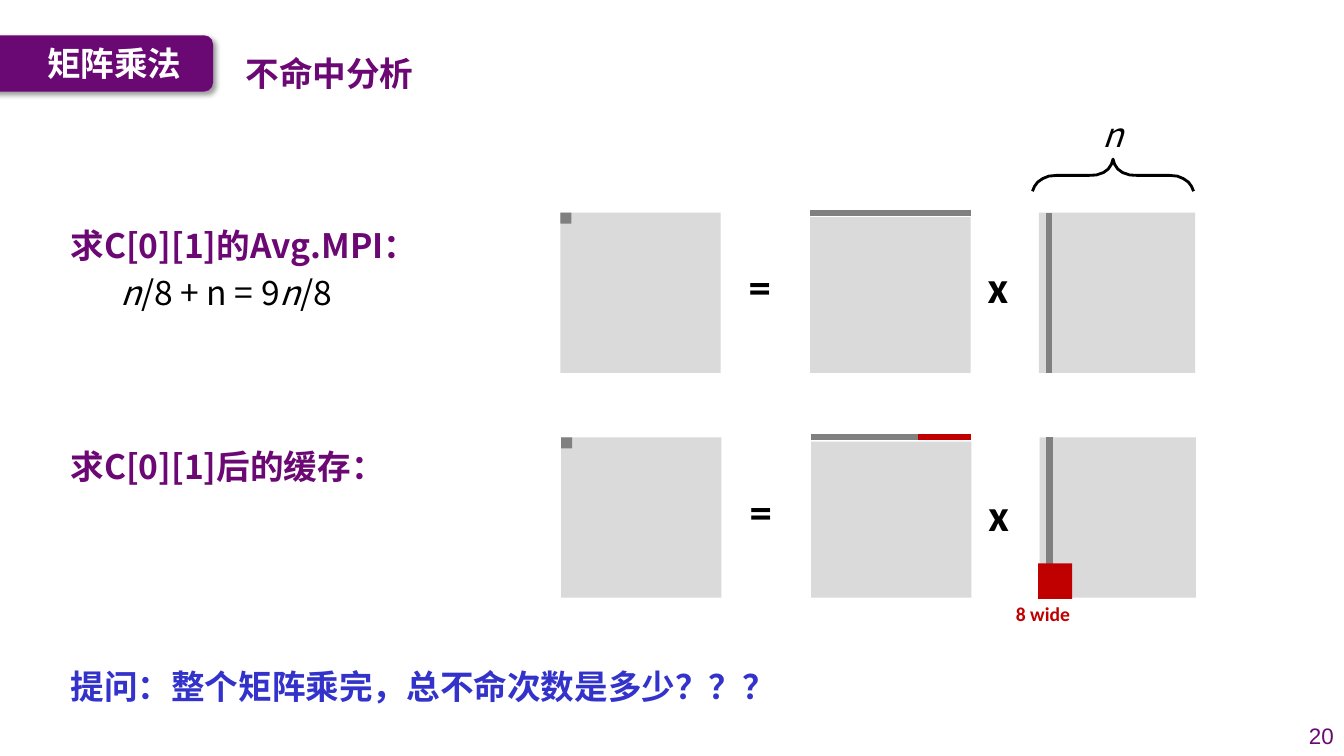
from lxml import etree
from pptx import Presentation
from pptx.dml.color import RGBColor
from pptx.enum.shapes import MSO_CONNECTOR, MSO_SHAPE
from pptx.enum.text import MSO_ANCHOR, PP_ALIGN
from pptx.oxml import parse_xml
from pptx.oxml.ns import nsdecls, qn
from pptx.util import Cm, Pt

RECTANGLE = MSO_SHAPE.RECTANGLE
ROUNDED = MSO_SHAPE.ROUNDED_RECTANGLE
STRAIGHT = MSO_CONNECTOR.STRAIGHT
LEFT, CENTER, RIGHT = PP_ALIGN.LEFT, PP_ALIGN.CENTER, PP_ALIGN.RIGHT
TOP, MIDDLE = MSO_ANCHOR.TOP, MSO_ANCHOR.MIDDLE

PURPLE = RGBColor(0x6B, 0x08, 0x74)
PLAQUE = RGBColor(0x6A, 0x08, 0x74)
BLUE = RGBColor(0x33, 0x33, 0xCC)
RED = RGBColor(0xC0, 0x00, 0x00)
GRAY = RGBColor(0x80, 0x80, 0x80)
LIGHT = RGBColor(0xDA, 0xDA, 0xDA)
BLACK = RGBColor(0, 0, 0)
WHITE = RGBColor(0xFF, 0xFF, 0xFF)

CJK = "Noto Sans CJK SC"
SIDE = 4.04
BRACE_HALF = [(0, 0), (0.04, 0.13), (0.12, 0.25), (0.24, 0.34), (0.42, 0.4),
              (0.6, 0.41), (1.42, 0.41), (1.62, 0.43), (1.77, 0.49),
              (1.9, 0.58), (1.98, 0.69), (2.03, 0.81)]


class SlideBuilder:
    """Draws on one slide; all positions and sizes are in centimetres."""

    def __init__(self, slide):
        self.slide = slide

    def block(self, left, top, width, height, color, kind=RECTANGLE):
        shape = self.slide.shapes.add_shape(
            kind, Cm(left), Cm(top), Cm(width), Cm(height))
        shape.shadow.inherit = False
        shape.fill.solid()
        shape.fill.fore_color.rgb = color
        shape.line.fill.background()
        return shape

    def plaque(self, left, top, width, height):
        shape = self.block(left, top, width, height, PLAQUE, ROUNDED)
        shape.adjustments[0] = 0.16
        effects = shape._element.spPr.find(qn("a:effectLst"))
        effects.append(parse_xml(
            f'<a:outerShdw {nsdecls("a")} blurRad="{Pt(4)}" dist="{Pt(3)}" '
            'dir="2700000" algn="tl" rotWithShape="0"><a:srgbClr val="000000">'
            '<a:alpha val="40000"/></a:srgbClr></a:outerShdw>'))

    def line(self, x1, y1, x2, y2, color):
        connector = self.slide.shapes.add_connector(
            STRAIGHT, Cm(x1), Cm(y1), Cm(x2), Cm(y2))
        connector.line.color.rgb = color
        connector.line.width = Pt(4.5)
        etree.SubElement(connector._element.spPr, qn("a:effectLst"))

    def brace(self, center, top):
        points = [(-dx, dy) for dx, dy in reversed(BRACE_HALF)] + BRACE_HALF[1:]
        points = [(Cm(center + dx), Cm(top + dy)) for dx, dy in points]
        builder = self.slide.shapes.build_freeform(*points[0])
        builder.add_line_segments(points[1:], close=False)
        shape = builder.convert_to_shape()
        shape.shadow.inherit = False
        shape.fill.background()
        shape.line.color.rgb = BLACK
        shape.line.width = Pt(2)

    def text_box(self, left, top, width, height, anchor=TOP, margins=True):
        box = self.slide.shapes.add_textbox(
            Cm(left), Cm(top), Cm(width), Cm(height))
        frame = box.text_frame
        frame.word_wrap = True
        frame.vertical_anchor = anchor
        if not margins:
            frame.margin_left = frame.margin_right = 0
            frame.margin_top = frame.margin_bottom = 0
        return frame

    def style(self, paragraph, color, size=24, font=CJK, bold=True,
              align=LEFT, italic=None):
        paragraph.alignment = align
        paragraph.font.size = Pt(size)
        paragraph.font.bold = bold
        paragraph.font.italic = italic
        paragraph.font.color.rgb = color
        paragraph.font.name = font
        etree.SubElement(paragraph.font._rPr, qn("a:ea"), typeface=font)

    def label(self, text, left, top, width, height, color, anchor=TOP,
              margins=True, **style):
        frame = self.text_box(left, top, width, height, anchor, margins)
        paragraph = frame.paragraphs[0]
        paragraph.text = text
        self.style(paragraph, color, **style)
        return frame

    def indent(self, paragraph, first_line):
        properties = paragraph._p.get_or_add_pPr()
        properties.set("marL", str(Cm(1.3)))
        properties.set("indent", str(Cm(first_line)))

    def statement(self, text, top, width, height, color):
        frame = self.label(text, 1.5, top, width, height, color)
        self.indent(frame.paragraphs[0], -1.27)
        return frame

    def product(self, left, top, times_drop):
        """Draws C = A x B with the used cell, row and column marked."""
        a_left, b_left, column = left + 6.3, left + 12.06, left + 12.31
        self.block(a_left, top + 0.11, SIDE, SIDE - 0.11, LIGHT)
        self.block(b_left, top, SIDE - 0.1, SIDE, LIGHT)
        self.line(a_left, top, a_left + SIDE, top, GRAY)
        self.line(column, top, column, top + SIDE, GRAY)
        self.block(left, top, SIDE, SIDE, LIGHT)
        self.block(left, top, 0.28, 0.28, GRAY)
        for sign, offset, drop in (("=", 4.75, 1.17), ("x", 10.77, times_drop)):
            self.label(sign, left + offset, top + drop, 0.81, 1.83, BLACK,
                       margins=False, size=32, font="Calibri")


def main():
    presentation = Presentation()
    presentation.slide_width = Cm(33.87)
    presentation.slide_height = Cm(19.05)
    slide = presentation.slides.add_slide(presentation.slide_layouts[6])
    builder = SlideBuilder(slide)

    builder.plaque(-0.5, 0.89, 5.87, 1.42)
    builder.label("矩阵乘法", 0.94, 0.89, 4.09, 1.4, WHITE, anchor=MIDDLE)
    builder.label("20", 32.46, 18.03, 1.4, 1.02, PLAQUE, anchor=MIDDLE,
                  size=16, font="Arial", bold=False, align=RIGHT)
    title = builder.label("不命中分析", 5.94, 0.69, 5.41, 1.63, PURPLE)
    title.paragraphs[0].line_spacing = 1.5

    builder.product(14.12, 5.36, 1.17)
    builder.brace(28.05, 4.01)
    builder.label("n", 26.01, 2.74, 4.09, 1.27, BLACK,
                  bold=False, align=CENTER, italic=True)

    builder.product(14.14, 11.02, 1.25)
    builder.line(23.14, 11.02, 24.48, 11.02, RED)
    builder.block(26.16, 14.2, 0.86, 0.89, RED)
    builder.label("8 wide", 25.6, 15.16, 1.83, 0.84, RED, margins=False,
                  size=14, font="Calibri")

    average = builder.statement("求C[0][1]的Avg.MPI：", 5.54, 12.27, 2.49, PURPLE)
    formula = average.add_paragraph()
    for text in ("n", "/8 + n = 9", "n", "/8"):
        run = formula.add_run()
        run.text = text
        run.font.italic = text == "n"
    formula.space_before = Pt(5.1)
    builder.indent(formula, 0)
    builder.style(formula, BLACK, bold=False)

    builder.statement("求C[0][1]后的缓存：", 11.1, 12.27, 1.27, PURPLE)
    builder.statement("提问：整个矩阵乘完，总不命次数是多少？？？",
                      16.66, 17.83, 1.27, BLUE)
    presentation.save("out.pptx")


if __name__ == "__main__":
    main()
